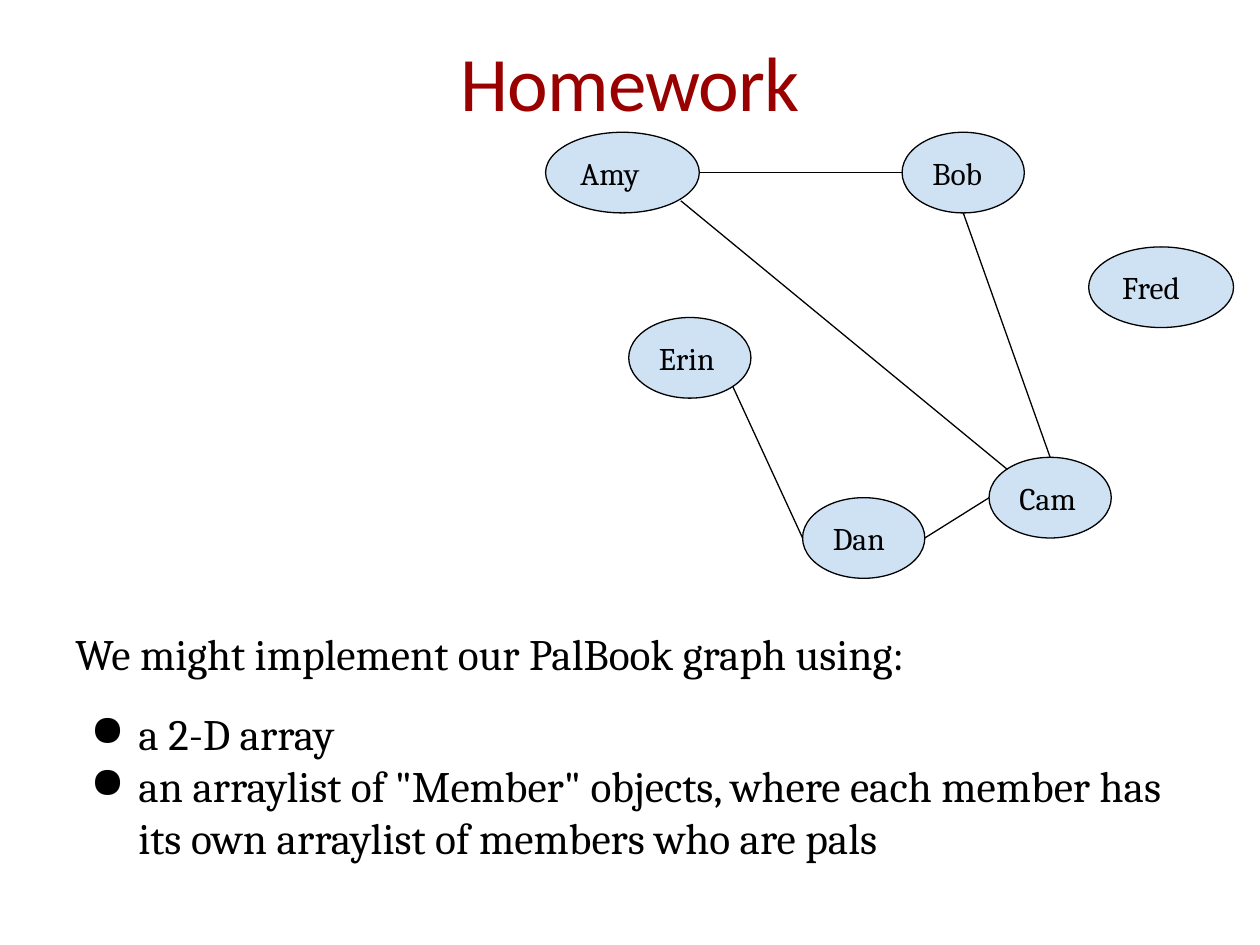
import dataclasses

import lxml.etree
import pptx
import pptx.dml.color
import pptx.enum.shapes
import pptx.enum.text
import pptx.oxml.ns
import pptx.util

SCALE = 9144
PALS = {
    "Amy": (433, 105, 122),
    "Dan": (637, 395, 97),
    "Erin": (499, 252, 97),
    "Cam": (785, 363, 97),
    "Bob": (716, 105, 97),
    "Fred": (864, 196, 115),
}
PAL_HEIGHT = 64
TOP, LEFT, BOTTOM, RIGHT = (0.5, 0), (0, 0.5), (0.5, 1), (1, 0.5)
TOP_LEFT, BOTTOM_RIGHT = (0.15, 0.15), (0.85, 0.85)
FRIENDSHIPS = [
    ("Amy", RIGHT, "Bob", LEFT),
    ("Amy", (0.88, 0.85), "Cam", TOP_LEFT),
    ("Dan", LEFT, "Erin", BOTTOM_RIGHT),
    ("Bob", BOTTOM, "Cam", TOP),
    ("Dan", RIGHT, "Cam", LEFT),
]
INTRO = "We might implement our PalBook graph using:"
OPTIONS = [
    "a 2-D array",
    'an arraylist of "Member" objects, where each member has its own arraylist of members who are pals',
]


@dataclasses.dataclass(frozen=True)
class Theme:
    """Colours, fonts and type sizes of the slide."""
    title_color: str = "990000"
    ink: str = "000000"
    node_fill: str = "CFE2F3"
    title_font: str = "Calibri"
    text_font: str = "Cambria"
    title_size: float = 44
    body_size: float = 24.8
    node_size: float = 18
    line_width: float = 0.75


THEME = Theme()


def px(length):
    """Turn px into EMU."""
    return pptx.util.Emu(round(length * SCALE))


def rgb(value):
    """Return a colour object for a hex string."""
    return pptx.dml.color.RGBColor.from_string(value)


def style_para(para, font, size, color):
    """Format every run of a paragraph."""
    for span in para.runs:
        span.font.name = font
        span.font.size = pptx.util.Pt(size)
        span.font.color.rgb = rgb(color)


def style_line(line):
    """Give an outline or connector the thin ink stroke."""
    line.color.rgb = rgb(THEME.ink)
    line.width = pptx.util.Pt(THEME.line_width)


def set_insets(frame, inset):
    """Use the same inset on all four sides of a text frame."""
    frame.margin_left = frame.margin_right = px(inset)
    frame.margin_top = frame.margin_bottom = px(inset)


def add_bullet(para):
    """Give a paragraph a round bullet and a hanging indent."""
    props = para._p.get_or_add_pPr()
    props.set("marL", str(px(50)))
    props.set("indent", str(px(-38)))
    color = lxml.etree.SubElement(props, pptx.oxml.ns.qn("a:buClr"))
    lxml.etree.SubElement(color, pptx.oxml.ns.qn("a:srgbClr"), val=THEME.ink)
    lxml.etree.SubElement(props, pptx.oxml.ns.qn("a:buChar"), char="●")


def place_title(page, box):
    """Move and format the title placeholder."""
    title = page.shapes.title
    title.left, title.top, title.width, title.height = map(px, box)
    frame = title.text_frame
    frame.text = "Homework"
    frame.vertical_anchor = pptx.enum.text.MSO_ANCHOR.TOP
    set_insets(frame, 10)
    para = frame.paragraphs[0]
    para.alignment = pptx.enum.text.PP_ALIGN.CENTER
    style_para(para, THEME.title_font, THEME.title_size, THEME.title_color)
    para.runs[0].font._element.set("spc", "-50")


def add_pal(page, name, box):
    """Draw one person as a labelled ellipse."""
    node = page.shapes.add_shape(pptx.enum.shapes.MSO_SHAPE.OVAL, *map(px, box))
    node.shadow.inherit = False
    node.fill.solid()
    node.fill.fore_color.rgb = rgb(THEME.node_fill)
    style_line(node.line)
    frame = node.text_frame
    frame.text = name
    frame.word_wrap = True
    frame.vertical_anchor = pptx.enum.text.MSO_ANCHOR.MIDDLE
    set_insets(frame, 10)
    frame.paragraphs[0].alignment = pptx.enum.text.PP_ALIGN.LEFT
    style_para(frame.paragraphs[0], THEME.text_font, THEME.node_size, THEME.ink)


def add_friendship(page, start, end):
    """Draw a straight line between two points."""
    link = page.shapes.add_connector(
        pptx.enum.shapes.MSO_CONNECTOR.STRAIGHT, *map(px, start + end))
    style_line(link.line)
    lxml.etree.SubElement(link._element.spPr, pptx.oxml.ns.qn("a:effectLst"))


def place_graph(page, box):
    """Draw the pals and their friendships relative to the box."""
    left, top = box[:2]
    first_x = min(x for x, _, _ in PALS.values())
    first_y = min(y for _, y, _ in PALS.values())
    nodes = {name: (left + x - first_x, top + y - first_y, width, PAL_HEIGHT)
             for name, (x, y, width) in PALS.items()}

    def site(name, spot):
        """Find a point from its share of a node's width and height."""
        x, y, width, height = nodes[name]
        return (x + spot[0] * width, y + spot[1] * height)

    for name, node_box in nodes.items():
        add_pal(page, name, node_box)
    for first, first_spot, second, second_spot in FRIENDSHIPS:
        add_friendship(page, site(first, first_spot), site(second, second_spot))


def place_body(page, box):
    """Write the introduction and the bulleted options."""
    frame = page.shapes.add_textbox(*map(px, box)).text_frame
    frame.word_wrap = True
    frame.text = "\n".join([INTRO] + OPTIONS)
    for index, para in enumerate(frame.paragraphs):
        para.space_before = pptx.util.Pt(16 if index < 2 else 0)
        style_para(para, THEME.text_font, THEME.body_size, THEME.ink)
        if index:
            add_bullet(para)


def main():
    """Build and save the deck."""
    deck = pptx.Presentation()
    deck.slide_width, deck.slide_height = px(1000), px(750)
    page = deck.slides.add_slide(deck.slide_layouts[5])
    place_title(page, (50, 17, 900, 125))
    place_body(page, (50, 493, 900, 200))
    place_graph(page, (433, 105, 546, 354))
    deck.save("out.pptx")


if __name__ == "__main__":
    main()
